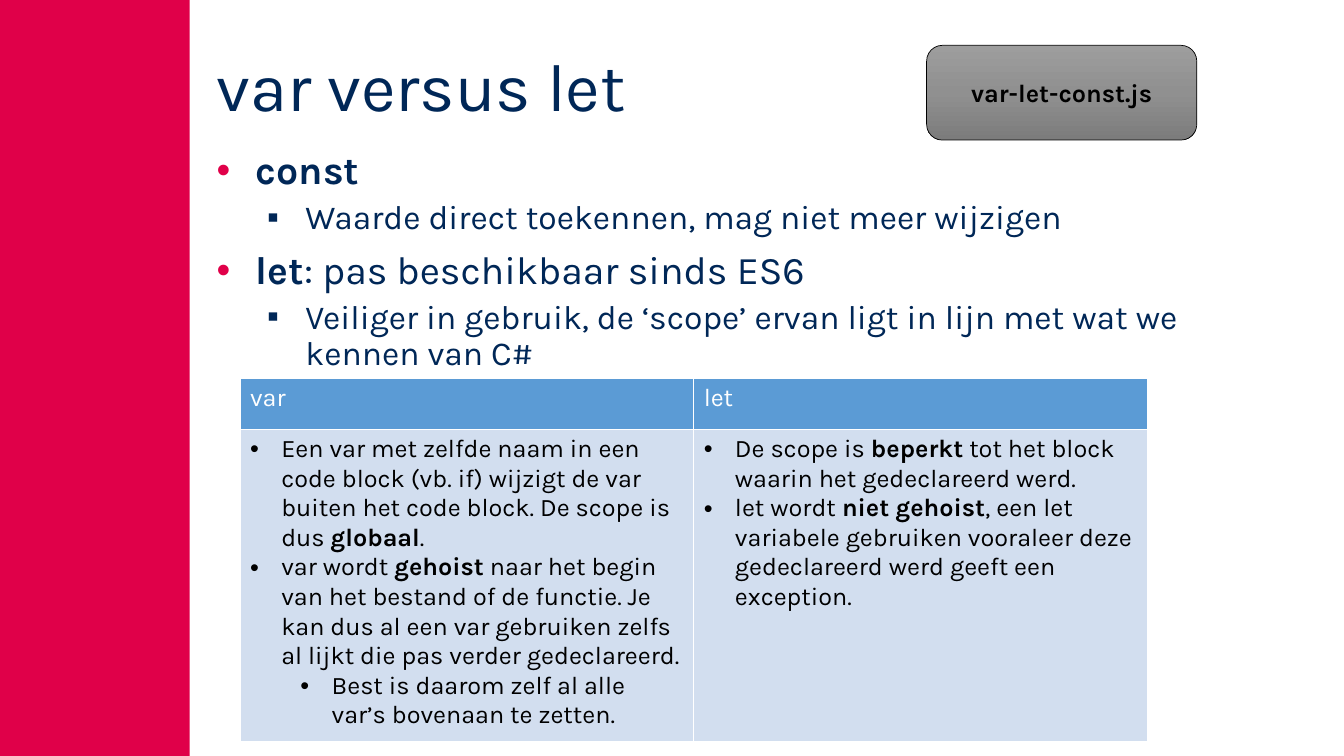
from copy import deepcopy

from lxml.etree import SubElement
from pptx import Presentation
from pptx.dml.color import RGBColor
from pptx.enum.shapes import MSO_SHAPE as Shape
from pptx.enum.text import MSO_ANCHOR as Anchor, PP_ALIGN as Align
from pptx.oxml.ns import qn
from pptx.util import Inches, Pt

RED = RGBColor(0xE0, 0x00, 0x49)
NAVY = RGBColor(0x00, 0x27, 0x57)
BLUE = RGBColor(0x5B, 0x9B, 0xD5)
PALE_BLUE = RGBColor(0xD2, 0xDE, 0xEF)
BLACK = RGBColor(0x00, 0x00, 0x00)
WHITE = RGBColor(0xFF, 0xFF, 0xFF)
GRAYS = [RGBColor(0x9D, 0x9D, 0x9D), RGBColor(0x90, 0x90, 0x90), RGBColor(0x7C, 0x7C, 0x7C)]

# Per outline level: bullet, its colour, text size, left indent, hanging indent, space before
BODY_LEVELS = [("•", RED, 28, 0.39, 0.39, 10), ("▪", NAVY, 24, 0.88, 0.38, 5)]
CELL_LEVELS = [("•", BLACK, 18, 0.31, 0.31, 0), ("•", BLACK, 18, 0.81, 0.31, 0)]

# Each item is (level, text); ** surrounds bold words
OUTLINE = [
    (0, "**const**"),
    (1, "Waarde direct toekennen, mag niet meer wijzigen"),
    (0, "**let**: pas beschikbaar sinds ES6"),
    (1, "Veiliger in gebruik, de ‘scope’ ervan ligt in lijn met wat we kennen van C#"),
]
COMPARISON = {
    "var": [
        (0, "Een var met zelfde naam in een code block (vb. if) wijzigt de var buiten "
            "het code block. De scope is dus **globaal**."),
        (0, "var wordt **gehoist** naar het begin van het bestand of de functie. Je kan dus "
            "al een var gebruiken zelfs al lijkt die pas verder gedeclareerd."),
        (1, "Best is daarom zelf al alle var’s bovenaan te zetten."),
    ],
    "let": [
        (0, "De scope is **beperkt** tot het block waarin het gedeclareerd werd."),
        (0, "let wordt **niet gehoist**, een let variabele gebruiken vooraleer deze "
            "gedeclareerd werd geeft een exception."),
    ],
}


class SlideBuilder:
    font_name = "Karla"

    def __init__(self, page):
        self.page = page

    def fill_para(self, para, text, size, color):
        for index, part in enumerate(text.split("**")):
            if part:
                span = para.add_run()
                span.text = part
                span.font.bold = index % 2 == 1
        font = para.font
        font.name, font.size = self.font_name, Pt(size)
        font.color.rgb = color

    def bullet_list(self, frame, items, levels, color):
        for index, (level, text) in enumerate(items):
            para = frame.paragraphs[0] if index == 0 else frame.add_paragraph()
            bullet, bullet_color, size, left, hanging, before = levels[level]
            para.level = level
            para.space_before = Pt(before)
            props = para._p.get_or_add_pPr()
            props.set("marL", str(Inches(left)))
            props.set("indent", str(-Inches(hanging)))
            tint = SubElement(props, qn("a:buClr"))
            SubElement(tint, qn("a:srgbClr"), val=str(bullet_color))
            SubElement(props, qn("a:buFont"), typeface="Arial")
            SubElement(props, qn("a:buChar"), char=bullet)
            self.fill_para(para, text, size, color)

    def text_box(self, left, top, width, height, anchor=Anchor.TOP):
        box = self.page.shapes.add_textbox(
            Inches(left), Inches(top), Inches(width), Inches(height))
        frame = box.text_frame
        frame.word_wrap = True
        frame.vertical_anchor = anchor
        return frame

    def title(self, text, *place):
        para = self.text_box(*place, anchor=Anchor.MIDDLE).paragraphs[0]
        para.line_spacing = 0.9
        self.fill_para(para, text, 48, NAVY)

    def outline(self, items, *place):
        frame = self.text_box(*place)
        self.bullet_list(frame, items, BODY_LEVELS, NAVY)
        for para in frame.paragraphs:
            para.line_spacing = 0.9

    def shape(self, kind, left, top, width, height):
        shape = self.page.shapes.add_shape(
            kind, Inches(left), Inches(top), Inches(width), Inches(height))
        shape.shadow.inherit = False
        return shape

    def band(self, color, *place):
        band = self.shape(Shape.RECTANGLE, *place)
        band.fill.solid()
        band.fill.fore_color.rgb = color
        band.line.fill.background()

    def badge(self, text, *place):
        badge = self.shape(Shape.ROUNDED_RECTANGLE, *place)
        badge.fill.gradient()
        badge.fill.gradient_angle = 270
        stop_list = badge._element.spPr.find(".//" + qn("a:gsLst"))
        stop_list.insert(1, deepcopy(stop_list[0]))
        for index, stop in enumerate(badge.fill.gradient_stops):
            stop.position = index / 2
            stop.color.rgb = GRAYS[index]
        badge.line.color.rgb = BLACK
        badge.line.width = Pt(0.5)
        badge.text_frame.vertical_anchor = Anchor.MIDDLE
        para = badge.text_frame.paragraphs[0]
        para.alignment = Align.CENTER
        self.fill_para(para, f"**{text}**", 18, BLACK)

    def style_cell(self, cell, color):
        props = cell._tc.get_or_add_tcPr()
        for side in ("a:lnL", "a:lnR", "a:lnT", "a:lnB"):
            border = SubElement(props, qn(side), w=str(Pt(1)))
            paint = SubElement(border, qn("a:solidFill"))
            SubElement(paint, qn("a:srgbClr"), val=str(WHITE))
        cell.fill.solid()
        cell.fill.fore_color.rgb = color

    def comparison(self, columns, left, top, width, row_heights):
        table = self.page.shapes.add_table(
            len(row_heights), len(columns), Inches(left), Inches(top),
            Inches(width), Inches(sum(row_heights))).table
        for row, height in zip(table.rows, row_heights):
            row.height = Inches(height)
        for index, (heading, items) in enumerate(columns.items()):
            head, detail = table.cell(0, index), table.cell(1, index)
            self.style_cell(head, BLUE)
            self.fill_para(head.text_frame.paragraphs[0], heading, 18, WHITE)
            self.style_cell(detail, PALE_BLUE)
            self.bullet_list(detail.text_frame, items, CELL_LEVELS, BLACK)


def main():
    deck = Presentation()
    deck.slide_width, deck.slide_height = Inches(13.33), Inches(7.5)
    builder = SlideBuilder(deck.slides.add_slide(deck.slide_layouts[6]))

    # Side band, title and outline
    builder.band(RED, 0, 0, 1.88, 7.5)
    builder.title("var versus let", 2.05, 0.19, 10.88, 1.4)
    builder.outline(OUTLINE, 2.05, 1.45, 10.88, 4.64)

    # Comparison table and file badge
    builder.comparison(COMPARISON, 2.38, 3.75, 9, [0.51, 3.03])
    builder.badge("var-let-const.js", 9.19, 0.45, 2.68, 0.94)

    deck.save("out.pptx")


if __name__ == "__main__":
    main()
